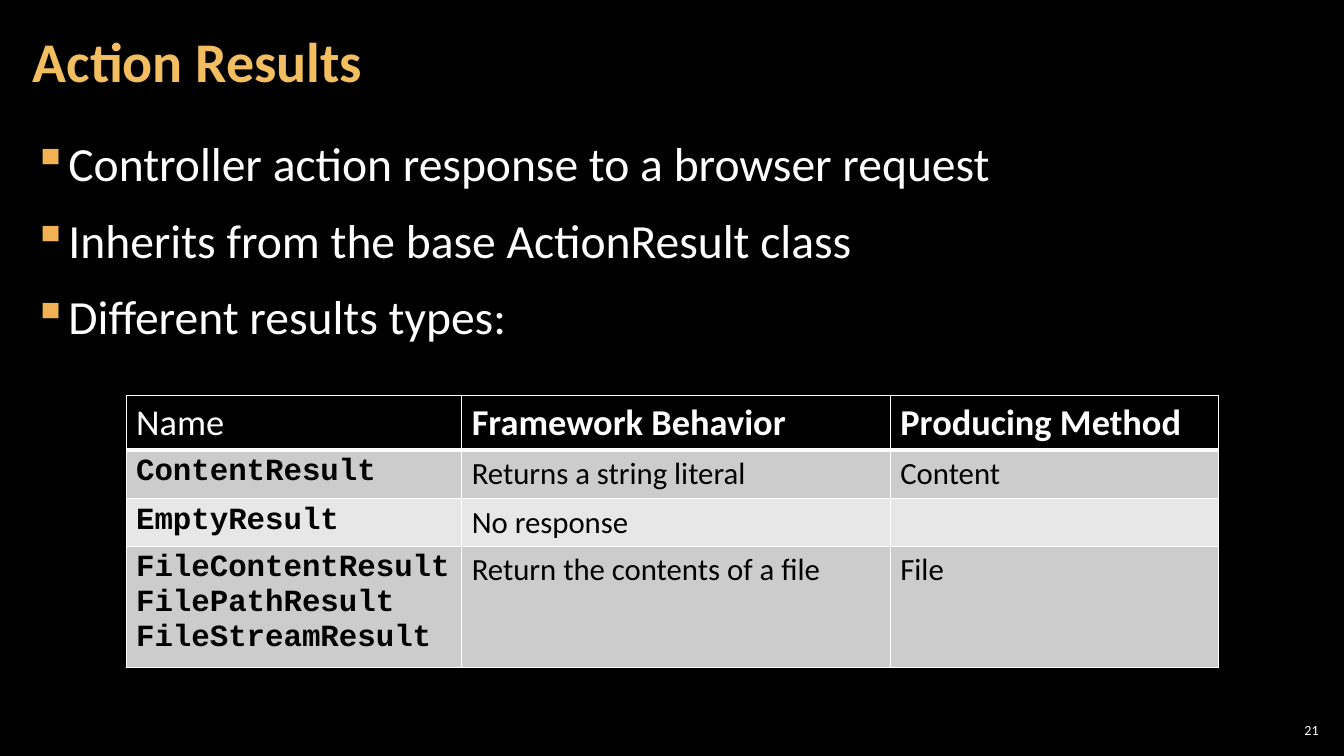
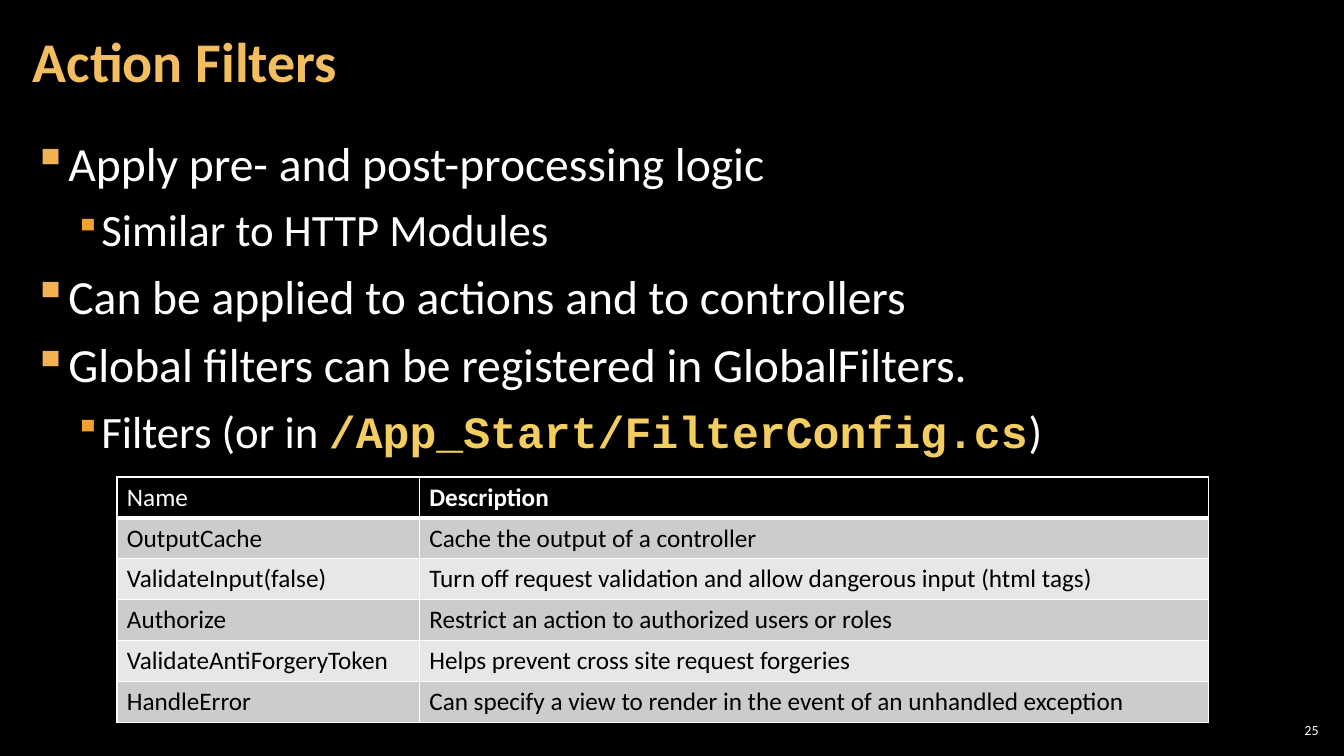
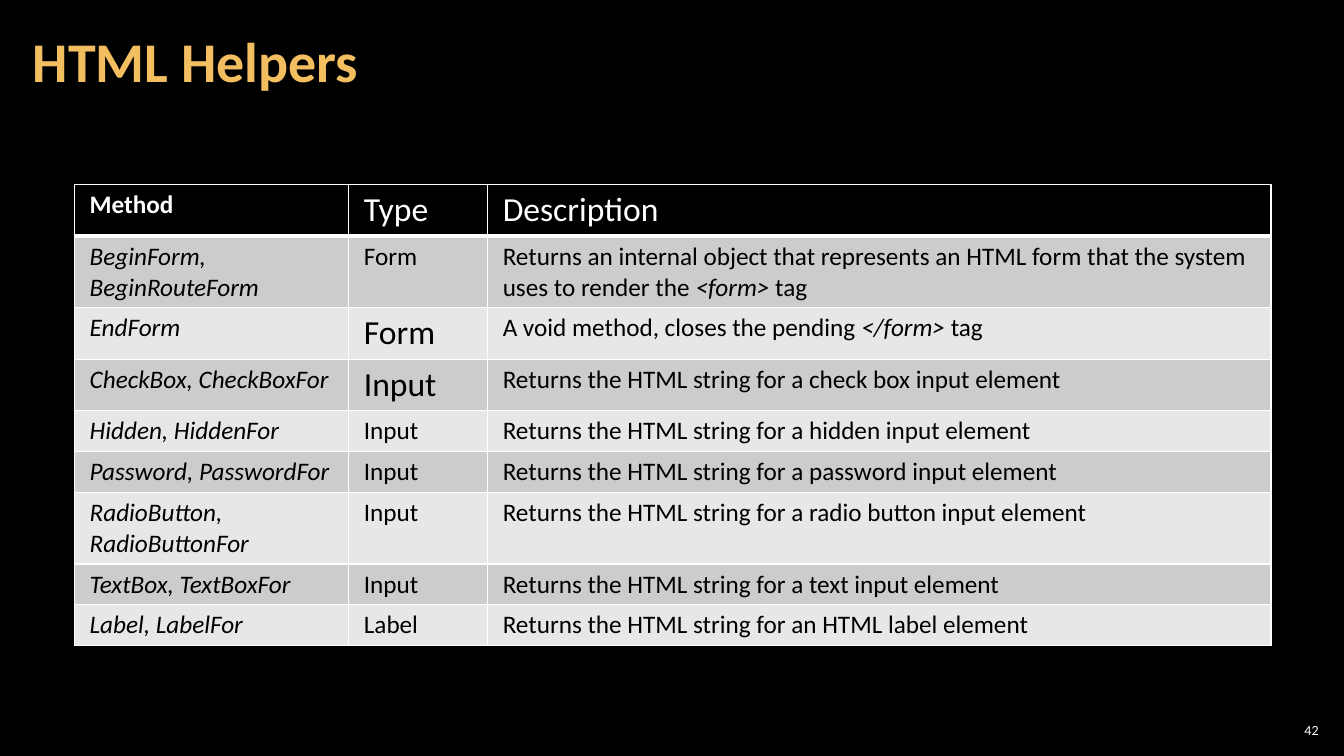
import pptx
import pptx.util
import pptx.dml.color
import pptx.enum.text
import pptx.oxml
import pptx.oxml.ns
import lxml.etree

Cm, Pt = pptx.util.Cm, pptx.util.Pt
RGB = pptx.dml.color.RGBColor
ALIGN, ANCHOR = pptx.enum.text.PP_ALIGN, pptx.enum.text.MSO_ANCHOR
qn = pptx.oxml.ns.qn

BLACK = RGB(0x00, 0x00, 0x00)
WHITE = RGB(0xFF, 0xFF, 0xFF)
DARK = RGB(0xCC, 0xCC, 0xCC)
LIGHT = RGB(0xE7, 0xE7, 0xE7)
GOLD = RGB(0xF3, 0xBE, 0x60)
CODE = RGB(0xF3, 0xCD, 0x60)
MARKS = RGB(0xF2, 0xB2, 0x54), RGB(0xF0, 0xA2, 0x2E)

# Text styles
TITLE = dict(size=40, color=GOLD, bold=True)
NUMBER = dict(size=10, color=WHITE)
BOLD = dict(bold=True)
ITALIC = dict(italic=True)
MONO = dict(name="Courier New", bold=True)
BIG = dict(size=24)

# Bullet levels: text size, left indent, hanging indent, mark size in percent
LEVELS = [(34, 0.85, 0.85, 100), (32, 1.69, 0.64, 80)]

# Content: a line is a string or a list of (text, style) runs;
# a cell is a string (one paragraph a line), a (text, style) pair or a list of runs
SLIDES = [
    dict(
        title="Action Results", number="21", gap=6,
        lines=[
            (0, "Controller action response to a browser request"),
            (0, "Inherits from the base ActionResult class"),
            (0, "Different results types:"),
        ],
        table=dict(
            at=(3.18, 9.96), cols=(8.46, 10.8, 8.26),
            rows=(1.38, 1.23, 1.19, 2.92),
            size=22, head=26, first=MONO, inset=(0.25, 0.13),
            cells=[
                ["Name", ("Framework Behavior", BOLD), ("Producing Method", BOLD)],
                ["ContentResult", "Returns a string literal", "Content"],
                ["EmptyResult", "No response", ""],
                ["FileContentResult\nFilePathResult\nFileStreamResult",
                 "Return the contents of a file", "File"],
            ],
        ),
    ),
    dict(
        title="Action Filters", number="25", gap=3,
        lines=[
            (0, "Apply pre- and post-processing logic"),
            (1, "Similar to HTTP Modules"),
            (0, "Can be applied to actions and to controllers"),
            (0, "Global filters can be registered in GlobalFilters."),
            (1, [("Filters (or in ", {}),
                 ("/App_Start/FilterConfig.cs", dict(MONO, color=CODE)),
                 (")", {})]),
        ],
        table=dict(
            at=(2.95, 12.02), cols=(7.62, 19.89), rows=(1.03,) * 6,
            size=18, head=18, first={}, inset=(0.25, 0.13),
            cells=[
                ["Name", ("Description", BOLD)],
                ["OutputCache", "Cache the output of a controller"],
                ["ValidateInput(false)",
                 "Turn off request validation and allow dangerous input (html tags)"],
                ["Authorize", "Restrict an action to authorized users or roles"],
                ["ValidateAntiForgeryToken", "Helps prevent cross site request forgeries"],
                ["HandleError",
                 "Can specify a view to render in the event of an unhandled exception"],
            ],
        ),
    ),
    dict(
        title="HTML Helpers", number="42", gap=0, lines=[],
        table=dict(
            at=(1.88, 4.65), cols=(6.91, 3.5, 19.74),
            rows=(1.3, 1.8, 1.3, 1.3, 1.03, 1.03, 1.8, 1.03, 1.03),
            size=18, head=24, first=ITALIC, inset=(0.38, 0.13),
            cells=[
                [("Method", dict(size=18, bold=True)), "Type", "Description"],
                ["BeginForm,\nBeginRouteForm", "Form",
                 [("Returns an internal object that represents an HTML form "
                   "that the system uses to render the ", {}),
                  ("<form> ", ITALIC), ("tag", {})]],
                ["EndForm", ("Form", BIG),
                 [("A void method, closes the pending ", {}),
                  ("</form> ", ITALIC), ("tag", {})]],
                ["CheckBox, CheckBoxFor", ("Input", BIG),
                 "Returns the HTML string for a check box input element"],
                ["Hidden, HiddenFor", "Input",
                 "Returns the HTML string for a hidden input element"],
                ["Password, PasswordFor", "Input",
                 "Returns the HTML string for a password input element"],
                ["RadioButton,\nRadioButtonFor", "Input",
                 "Returns the HTML string for a radio button input element"],
                ["TextBox, TextBoxFor", "Input",
                 "Returns the HTML string for a text input element"],
                ["Label, LabelFor", "Label",
                 "Returns the HTML string for an HTML label element"],
            ],
        ),
    ),
]


def style(font, look):
    for key, value in look.items():
        if key == "color":
            font.color.rgb = value
        else:
            setattr(font, key, Pt(value) if key == "size" else value)


def write(para, line, look):
    """Fill a paragraph; runs override its base look."""
    style(para.font, dict(dict(name="Calibri", bold=False), **look))
    for text, extra in [(line, {})] if isinstance(line, str) else line:
        if text:
            run = para.add_run()
            run.text = text
            style(run.font, extra)


def add_box(slide, place, inset, anchor):
    frame = slide.shapes.add_textbox(*map(Cm, place)).text_frame
    frame.word_wrap = True
    frame.vertical_anchor = anchor
    frame.margin_left = frame.margin_right = Cm(inset)
    frame.margin_top = frame.margin_bottom = Cm(0.1)
    return frame


def add_part(parent, tag, **attrs):
    return lxml.etree.SubElement(parent, qn(tag), {k: str(v) for k, v in attrs.items()})


def add_mark(para, level):
    """Hanging square bullet of the given level."""
    _, left, hang, scale = LEVELS[level]
    props = para._p.get_or_add_pPr()
    props.set("marL", str(Cm(left)))
    props.set("indent", str(-Cm(hang)))
    add_part(add_part(props, "a:buClr"), "a:srgbClr", val=MARKS[level])
    add_part(props, "a:buSzPct", val=scale * 1000)
    add_part(props, "a:buChar", char="▪")


def add_list(slide, lines, gap):
    frame = add_box(slide, (0.53, 3.2, 32.8, 15.47), 0.3, ANCHOR.TOP)
    for i, (level, line) in enumerate(lines):
        para = frame.add_paragraph() if i else frame.paragraphs[0]
        para.level = level
        para.line_spacing = 1.05
        para.space_before = para.space_after = Pt(gap)
        add_mark(para, level)
        write(para, line, dict(size=LEVELS[level][0], color=WHITE))


def add_edges(cell, low):
    """White cell borders; the bottom one is low points wide."""
    props = cell._tc.get_or_add_tcPr()
    for i, (side, width) in enumerate(dict(L=1, R=1, T=1, B=low).items()):
        edge = lxml.etree.Element(qn("a:ln" + side), w=str(Pt(width)))
        add_part(add_part(edge, "a:solidFill"), "a:srgbClr", val=WHITE)
        props.insert(i, edge)


def add_grid(slide, at, cols, rows, size, head, first, inset, cells):
    place = map(Cm, (*at, sum(cols), sum(rows)))
    table = slide.shapes.add_table(len(rows), len(cols), *place).table
    table.horz_banding = False
    for col, width in zip(table.columns, cols):
        col.width = Cm(width)
    for r, (row, height) in enumerate(zip(table.rows, rows)):
        row.height = Cm(height)
        for c, item in enumerate(cells[r]):
            cell = table.cell(r, c)
            cell.margin_left = cell.margin_right = Cm(inset[0])
            cell.margin_top = cell.margin_bottom = Cm(inset[1])
            cell.fill.solid()
            cell.fill.fore_color.rgb = (DARK if r % 2 else LIGHT) if r else BLACK
            add_edges(cell, 1 if r else 3)
            look = dict(size=size, color=BLACK) if r else dict(size=head, color=WHITE)
            if r and c == 0:
                look.update(first)
            if isinstance(item, tuple):
                item, extra = item
                look.update(extra)
            lines = item.split("\n") if isinstance(item, str) else [item]
            frame = cell.text_frame
            for i, line in enumerate(lines):
                write(frame.add_paragraph() if i else frame.paragraphs[0], line, look)


def add_frame(slide, title, number):
    """Title and page number shared by all slides."""
    para = add_box(slide, (0.53, 0.1, 26.6, 3.07), 0.3, ANCHOR.MIDDLE).paragraphs[0]
    para.line_spacing = 0.9
    write(para, title, TITLE)
    para = add_box(slide, (32.13, 18.14, 1.2, 0.53), 0.1, ANCHOR.MIDDLE).paragraphs[0]
    para.alignment = ALIGN.RIGHT
    write(para, number, NUMBER)


def main():
    deck = pptx.Presentation()
    deck.slide_width, deck.slide_height = Cm(33.87), Cm(19.05)
    back = deck.slide_master.background.fill
    back.solid()
    back.fore_color.rgb = BLACK
    for page in SLIDES:
        slide = deck.slides.add_slide(deck.slide_layouts[6])
        add_frame(slide, page["title"], page["number"])
        if page["lines"]:
            add_list(slide, page["lines"], page["gap"])
        add_grid(slide, **page["table"])
    deck.save("out.pptx")


if __name__ == "__main__":
    main()
